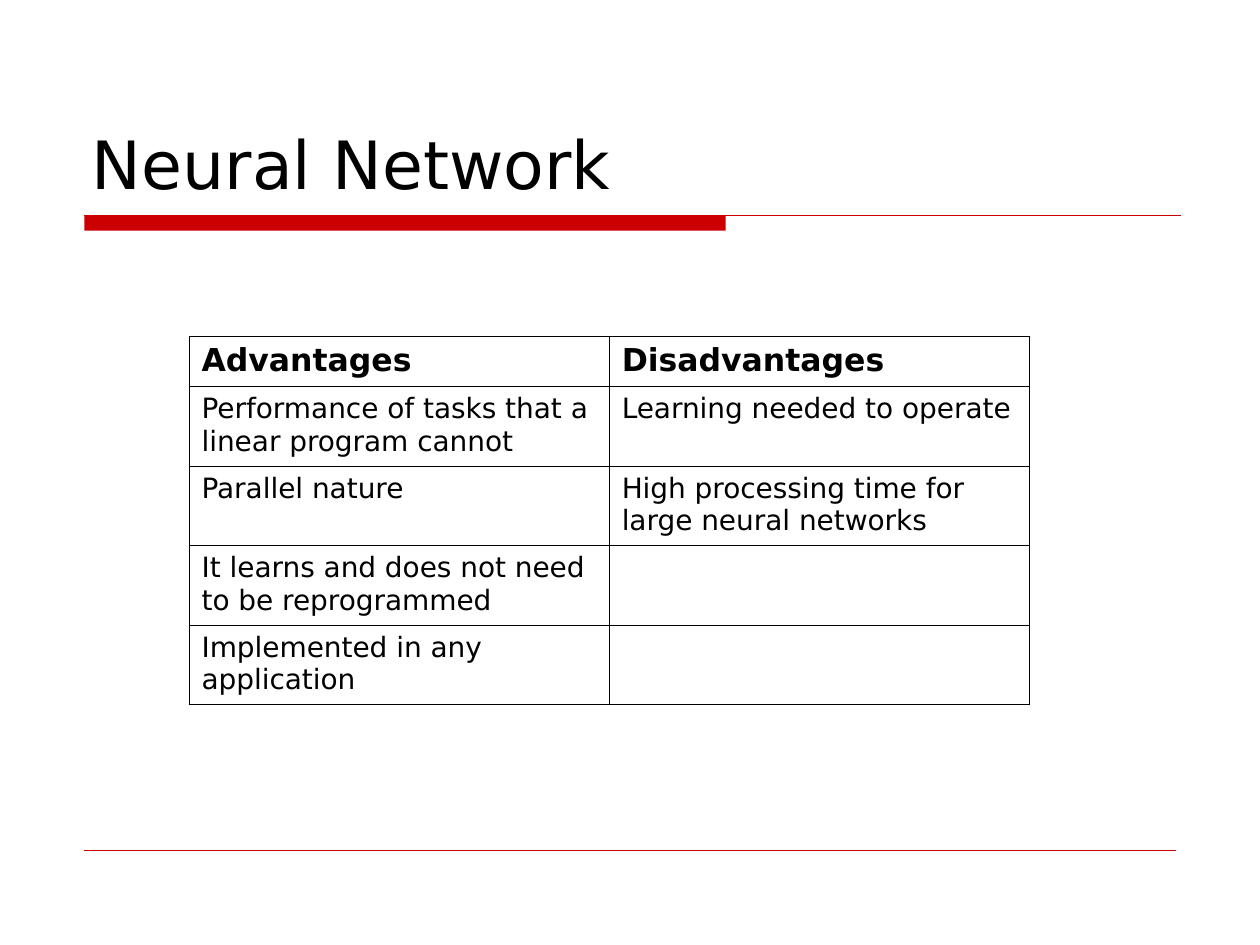
from lxml.etree import SubElement
from pptx import Presentation
from pptx.dml.color import RGBColor
from pptx.enum.shapes import MSO_CONNECTOR as Connector, MSO_SHAPE as Shape
from pptx.enum.text import MSO_ANCHOR as Anchor, PP_ALIGN as Align
from pptx.oxml.ns import qn
from pptx.util import Inches, Pt

TITLE = "Neural Network"
ROWS = [
    ("Advantages", "Disadvantages"),
    ("Performance of tasks that a linear program cannot", "Learning needed to operate"),
    ("Parallel nature", "High processing time for large neural networks"),
    ("It learns and does not need to be reprogrammed", ""),
    ("Implemented in any application", ""),
]
FONT, BLACK, RED = "DejaVu Sans", "000000", "CC0000"
MARGIN, RULE_TOP = 0.67, 1.71
TABLE_LEFT, TABLE_TOP, TABLE_WIDTH = 1.5, 2.67, 6.67
HEADER_HEIGHT, ROW_HEIGHT = 0.4, 0.63


def color(value):
    return RGBColor.from_string(value)


def style(paragraph, size, bold=False):
    paragraph.alignment = Align.LEFT
    font = paragraph.font
    font.name, font.size, font.bold = FONT, Pt(size), bold
    font.color.rgb = color(BLACK)


def add_rule(slide, top, right, width):
    line = slide.shapes.add_connector(
        Connector.STRAIGHT, Inches(MARGIN), Inches(top), Inches(right), Inches(top))
    line.line.color.rgb = color(RED)
    line.line.width = Pt(width)
    SubElement(line._element.spPr, qn("a:effectLst"))


def add_borders(cell):
    properties = cell._tc.get_or_add_tcPr()
    for index, side in enumerate(("a:lnL", "a:lnR", "a:lnT", "a:lnB")):
        border = properties.makeelement(qn(side), {"w": str(Pt(0.45))})
        fill = SubElement(border, qn("a:solidFill"))
        SubElement(fill, qn("a:srgbClr"), val=BLACK)
        properties.insert(index, border)


def add_title(slide):
    title = slide.shapes.title
    title.left, title.top = Inches(0.63), Inches(0.33)
    title.width, title.height = Inches(8.75), Inches(1.33)
    title.text_frame.text = TITLE
    title.text_frame.vertical_anchor = Anchor.BOTTOM
    style(title.text_frame.paragraphs[0], 38)


def add_comparison(slide):
    heights = [HEADER_HEIGHT] + [ROW_HEIGHT] * (len(ROWS) - 1)
    table = slide.shapes.add_table(
        len(ROWS), len(ROWS[0]), Inches(TABLE_LEFT), Inches(TABLE_TOP),
        Inches(TABLE_WIDTH), Inches(sum(heights))).table
    table.horz_banding = False
    for row, height, texts in zip(table.rows, heights, ROWS):
        row.height = Inches(height)
        header = texts is ROWS[0]
        for cell, text in zip(row.cells, texts):
            cell.fill.background()
            add_borders(cell)
            cell.text = text
            style(cell.text_frame.paragraphs[0], 18 if header else 16, header)


def main():
    presentation = Presentation()
    presentation.slide_width, presentation.slide_height = Inches(10), Inches(7.5)
    slide = presentation.slides.add_slide(presentation.slide_layouts[5])
    bar = slide.shapes.add_shape(
        Shape.RECTANGLE, Inches(MARGIN), Inches(RULE_TOP), Inches(5.09), Inches(0.12))
    bar.shadow.inherit = False
    bar.fill.solid()
    bar.fill.fore_color.rgb = color(RED)
    bar.line.fill.background()
    add_rule(slide, RULE_TOP, 9.37, 0.75)
    add_rule(slide, 6.75, 9.33, 0.25)
    add_title(slide)
    add_comparison(slide)
    presentation.save("out.pptx")


if __name__ == "__main__":
    main()
